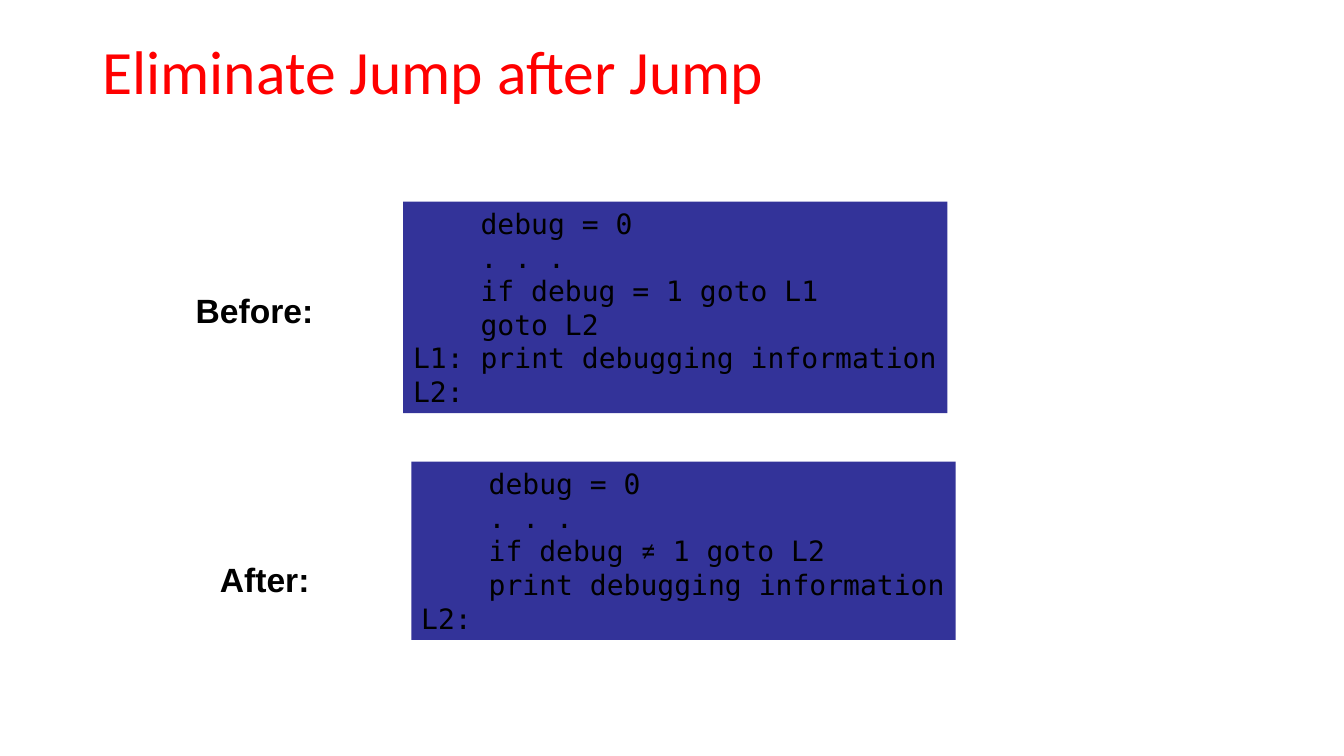
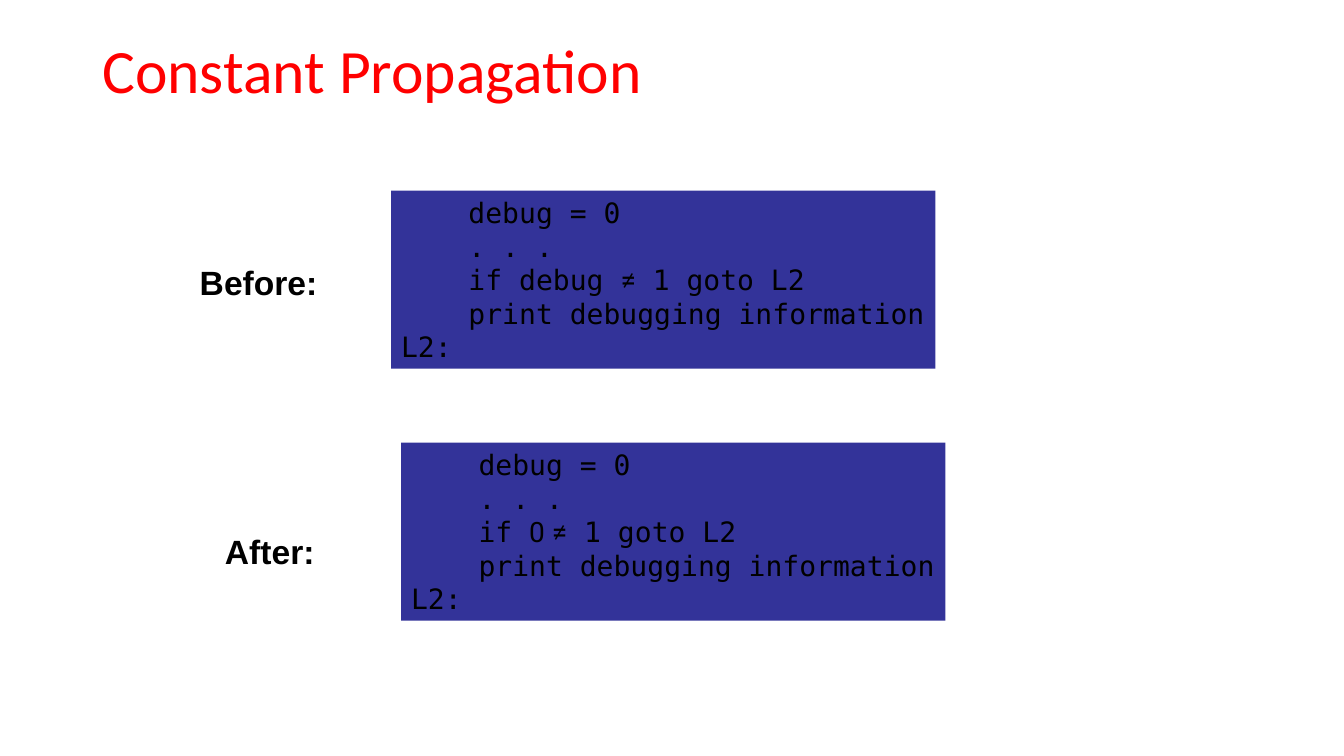
import collections
import dataclasses

import pptx
import pptx.dml.color
import pptx.enum.shapes
import pptx.enum.text
import pptx.util

Pt = pptx.util.Pt
Align = pptx.enum.text.PP_ALIGN
Anchor = pptx.enum.text.MSO_ANCHOR
AutoSize = pptx.enum.text.MSO_AUTO_SIZE
Box = collections.namedtuple("Box", "left top width height")
Style = collections.namedtuple("Style", "font size color bold")


@dataclasses.dataclass(frozen=True)
class Theme:
    title: Style = Style("Calibri", 44, "FF0000", False)
    label: Style = Style("Arial", 24, "000000", True)
    code: Style = Style("DejaVu Sans Mono", 20, "000000", False)
    symbol: Style = Style("Roboto", 20, "000000", False)
    panel_fill: str = "333399"
    code_indent: float = 48.16  # four monospaced characters
    code_line: float = 24
    code_padding: float = 7.2
    code_width: float = 388.8
    label_height: float = 36


THEME = Theme()


def color(value):
    return pptx.dml.color.RGBColor.from_string(value)


def points(box):
    return [Pt(length) for length in box]


def add_run(paragraph, text, style):
    run = paragraph.add_run()
    run.text = text
    run.font.name = style.font
    run.font.size = Pt(style.size)
    run.font.bold = style.bold
    run.font.color.rgb = color(style.color)


def add_title(slide, box, text):
    frame = slide.shapes.add_textbox(*points(box)).text_frame
    frame.word_wrap = True
    frame.vertical_anchor = Anchor.MIDDLE
    frame.paragraphs[0].line_spacing = 0.9
    add_run(frame.paragraphs[0], text, THEME.title)


def add_label(slide, box, text):
    frame = slide.shapes.add_textbox(*points(box)).text_frame
    frame.word_wrap = False
    frame.auto_size = AutoSize.SHAPE_TO_FIT_TEXT
    frame.paragraphs[0].alignment = Align.CENTER
    add_run(frame.paragraphs[0], text, THEME.label)


def add_code(slide, box, lines):
    """Lines without a jump label are indented; bars enclose symbol text."""
    panel = slide.shapes.add_shape(
        pptx.enum.shapes.MSO_SHAPE.RECTANGLE, *points(box))
    panel.shadow.inherit = False
    panel.fill.solid()
    panel.fill.fore_color.rgb = color(THEME.panel_fill)
    panel.line.fill.background()
    frame = panel.text_frame
    frame.word_wrap = True
    frame.auto_size = AutoSize.SHAPE_TO_FIT_TEXT
    frame.vertical_anchor = Anchor.TOP
    for number, line in enumerate(lines):
        paragraph = frame.add_paragraph() if number else frame.paragraphs[0]
        paragraph.alignment = Align.LEFT
        if not line.startswith("L"):
            properties = paragraph._p.get_or_add_pPr()
            properties.set("marL", str(Pt(THEME.code_indent)))
            properties.set("indent", "0")
        for part, text in enumerate(line.split("|")):
            add_run(paragraph, text, THEME.symbol if part % 2 else THEME.code)


def add_comparison(presentation, title_box, title, stages):
    """A title above stages, each a label beside a code panel."""
    slide = presentation.slides.add_slide(presentation.slide_layouts[6])
    add_title(slide, title_box, title)
    for label, (left, top, width), (code_left, code_top), lines in stages:
        add_label(slide, Box(left, top, width, THEME.label_height), label)
        height = len(lines) * THEME.code_line + THEME.code_padding
        add_code(slide, Box(code_left, code_top, THEME.code_width, height), lines)


# Code listings
START = ["debug = 0", ". . ."]
PRINT = "print debugging information"
DOUBLE_JUMP = START + ["if debug = 1 goto L1", "goto L2", "L1: " + PRINT, "L2: "]
SINGLE_JUMP = START + ["if debug |≠| 1 goto L2", PRINT, "L2: "]
CONSTANT_TEST = START + ["if |0 ≠| 1 goto L2", PRINT, "L2: "]

# Label widths
BEFORE, AFTER = 98.6, 78.5

presentation = pptx.Presentation()
presentation.slide_width = Pt(960)
presentation.slide_height = Pt(540)

add_comparison(presentation, Box(66, 21.6, 828, 63.4), "Eliminate Jump after Jump", [
    ("Before:", (132.5, 203.8, BEFORE), (288, 144), DOUBLE_JUMP),
    ("After:", (149.8, 396, AFTER), (293.8, 329.8), SINGLE_JUMP),
])
add_comparison(presentation, Box(66, 23.8, 828, 56.9), "Constant Propagation", [
    ("Before:", (135.4, 183.6, BEFORE), (279.4, 136.1), SINGLE_JUMP),
    ("After:", (153.4, 375.8, AFTER), (286.6, 316.1), CONSTANT_TEST),
])

presentation.save("out.pptx")
